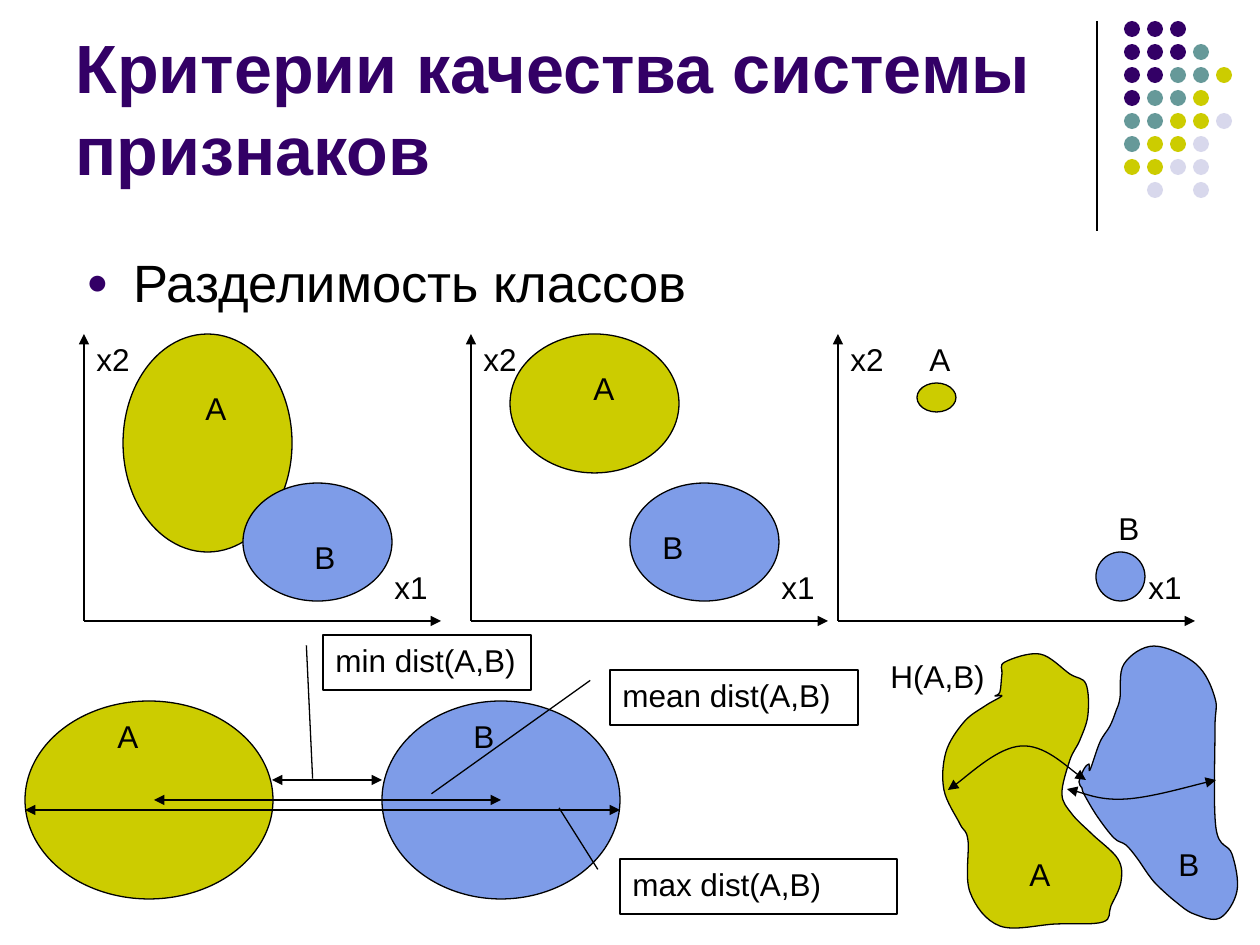
from lxml.etree import SubElement
from pptx import Presentation
from pptx.dml.color import RGBColor
from pptx.enum.shapes import MSO_CONNECTOR, MSO_SHAPE
from pptx.enum.text import MSO_ANCHOR, MSO_AUTO_SIZE, PP_ALIGN
from pptx.oxml.ns import qn
from pptx.util import Pt

SCALE = 914400 / 126
BLACK = RGBColor(0x00, 0x00, 0x00)
WHITE = RGBColor(0xFF, 0xFF, 0xFF)
PLUM = RGBColor(0x33, 0x00, 0x66)
TEAL = RGBColor(0x66, 0x99, 0x99)
OLIVE = RGBColor(0xCC, 0xCC, 0x00)
BLUE = RGBColor(0x7E, 0x9C, 0xE8)
PALE = RGBColor(0xD8, 0xD8, 0xEC)

DOTS = ("DDD", "DDDT", "DDTTY", "DTTY", "TTYYL", "TYYL", "YYLL", " L L")
TINTS = {"D": PLUM, "T": TEAL, "Y": OLIVE, "L": PALE}

PLOTS = (
    (84, (39, 0, 169, 218), (159, 149, 149, 118), (109, 49), (218, 198)),
    (471, (39, 0, 169, 139), (159, 149, 149, 118), (110, 29), (179, 188)),
    (838, (79, 49, 39, 29), (258, 218, 49, 49), (79, 0), (268, 169)),
)
CALLS = (
    ("min dist(A,B)", (298, -66, 208, 55), (0.19, -0.08, 2.61, -0.05)),
    ("max dist(A,B)", (595, 158, 277, 55), (0.19, -0.08, -0.93, -0.22)),
    ("mean dist(A,B)", (585, -31, 248, 55), (0.19, -0.08, 2.25, -0.72)),
)
BLOB_A = (
    (58, 42), (41, 52), (20, 68), (2, 98), (0, 136), (16, 170), (24, 186),
    (26, 238), (56, 272), (112, 270), (159, 268), (167, 252), (177, 228),
    (174, 205), (148, 180), (128, 160), (118, 140), (126, 106), (136, 86),
    (144, 61), (142, 30), (126, 20), (96, 0), (61, 8), (58, 20), (56, 38),
    (51, 42),
)
BLOB_B = (
    (11, 124), (21, 96), (31, 80), (37, 65), (41, 52), (45, 18), (75, 0),
    (117, 18), (136, 52), (136, 84), (137, 182), (153, 208), (158, 245),
    (141, 272), (115, 268), (97, 256), (78, 239), (69, 228), (58, 212),
    (47, 199), (35, 192), (18, 170), (5, 148), (3, 142), (0, 136),
    (5, 123), (10, 118),
)
ARCS = (
    ((338, 134), (248, 153), (189, 143)),
    ((70, 144), (143, 100), (208, 134)),
)


def px(*nums):
    """Turn px lengths into EMU."""
    return [round(num * SCALE) for num in nums]


def shift(box, part):
    """Move a part by the left top corner of a box."""
    return (box[0] + part[0], box[1] + part[1], *part[2:])


def apply(item, vals):
    """Set attributes from a dict."""
    for name, val in vals.items():
        setattr(item, name, val)


def write(frame, text, font=None, **vals):
    """Fill a text frame with one formatted paragraph."""
    apply(frame, {"word_wrap": True, "auto_size": MSO_AUTO_SIZE.NONE,
                  "vertical_anchor": MSO_ANCHOR.TOP, **vals})
    line = frame.paragraphs[0]
    line.text = text
    line.alignment = PP_ALIGN.LEFT
    look = {"name": "Arial", "size": Pt(18), "bold": False, **(font or {})}
    tint = look.pop("color", BLACK)
    apply(line.font, look)
    line.font.color.rgb = tint


def paint(shape, fill, edge=True):
    """Set fill and outline without a shadow."""
    shape.shadow.inherit = False
    if fill is None:
        shape.fill.background()
    else:
        shape.fill.solid()
        shape.fill.fore_color.rgb = fill
    if edge:
        ink(shape)
    else:
        shape.line.fill.background()


def ink(shape, ends=()):
    """Draw a thin black line with arrowheads at the named ends."""
    shape.line.color.rgb = BLACK
    shape.line.width = Pt(0.75)
    edge = shape.element.spPr.find(qn("a:ln"))
    for end in ends:
        SubElement(edge, qn(f"a:{end}End"), type="triangle")


def link(slide, start, stop, ends=()):
    """Add a straight line between two points."""
    line = slide.shapes.add_connector(
        MSO_CONNECTOR.STRAIGHT, *px(*start, *stop))
    ink(line, ends)
    SubElement(line.element.spPr, qn("a:effectLst"))


def oval(slide, box, fill, edge=True):
    """Add an ellipse."""
    paint(slide.shapes.add_shape(MSO_SHAPE.OVAL, *px(*box)), fill, edge)


def outline(slide, dots, closed):
    """Add a freeform through EMU points."""
    form = slide.shapes.build_freeform(*dots[0], scale=1)
    form.add_line_segments(dots[1:], close=closed)
    return form.convert_to_shape()


def label(slide, spot, text, width=49):
    """Add a small text label in a clear outline."""
    left, top = spot
    right, low = left + width, top + 50
    dots = [px(*dot) for dot in (
        (left, top), (right, top), (right, low), (left, low))]
    shape = outline(slide, dots, True)
    paint(shape, None, False)
    write(shape.text_frame, text, auto_size=MSO_AUTO_SIZE.SHAPE_TO_FIT_TEXT)


def curve(slide, box, knots, fill=None, ends=()):
    """Add a filled blob, or an open arc when there is no fill."""
    closed = fill is not None
    dots = [px(*shift(box, knot)) for knot in knots]
    if closed:
        dots.append(dots[0])
    shape = outline(slide, dots, closed)
    before, after = (dots[-2], dots[1]) if closed else (dots[0], dots[-1])
    ring = [before, *dots, after]
    lines = list(shape.element.iter(qn("a:lnTo")))
    for line, a, b, c, d in zip(lines, ring, ring[1:], ring[2:], ring[3:]):
        bend = line.getparent().makeelement(qn("a:cubicBezTo"))
        out = [q + (r - p) / 6 for p, q, r in zip(a, b, c)]
        back = [q - (r - p) / 6 for p, q, r in zip(b, c, d)]
        for x, y in (out, back, c):
            SubElement(bend, qn("a:pt"), x=str(round(x - shape.left)),
                       y=str(round(y - shape.top)))
        line.getparent().replace(line, bend)
    paint(shape, fill)
    ink(shape, ends)


def corner(slide, box):
    """Draw the rule and the dot pattern."""
    left, top, _, high = box
    link(slide, (left, top), (left, top + high))
    for row, marks in enumerate(DOTS):
        for col, mark in enumerate(marks):
            if mark in TINTS:
                spot = (27 + 23 * col, 23 * row, 16, 16)
                oval(slide, shift(box, spot), TINTS[mark], False)


def heading(slide, box):
    """Place the title."""
    title = slide.shapes.title
    apply(title, dict(zip(("left", "top", "width", "height"), px(*box))))
    write(title.text_frame, "Критерии качества системы признаков",
          {"size": Pt(39), "bold": True, "color": PLUM},
          vertical_anchor=MSO_ANCHOR.BOTTOM)


def body(slide, box):
    """Place the bulleted line."""
    frame = slide.shapes.add_textbox(*px(*box)).text_frame
    props = frame.paragraphs[0]._p.get_or_add_pPr()
    dent, = px(47)
    props.set("marL", str(dent))
    props.set("indent", str(-dent))
    tint = SubElement(props, qn("a:buClr"))
    SubElement(tint, qn("a:srgbClr"), val=str(PLUM))
    SubElement(props, qn("a:buSzPct"), val="70000")
    SubElement(props, qn("a:buFont"), typeface="Arial")
    SubElement(props, qn("a:buChar"), char="●")
    write(frame, "Разделимость классов", {"size": Pt(30)})


def plot(slide, box, first, second, tag_a, tag_b):
    """Draw axes with two classes."""
    left, top, wide, high = box
    base = (left, top + high)
    link(slide, base, (left, top), ["tail"])
    link(slide, base, (left + wide, top + high), ["tail"])
    oval(slide, shift(box, first), OLIVE)
    oval(slide, shift(box, second), BLUE)
    for spot, text, width in (((0, 0), "х2", 79), ((298, 228), "х1", 79),
                              (tag_a, "A", 49), (tag_b, "B", 49)):
        label(slide, shift(box, spot), text, width)


def spans(slide, box):
    """Draw the three distances between two classes."""
    oval(slide, shift(box, (0, 0, 248, 198)), OLIVE)
    oval(slide, shift(box, (357, 0, 238, 198)), BLUE)
    for start, stop, y in ((129, 476, 99), (247, 357, 79), (0, 595, 109)):
        link(slide, shift(box, (start, y)), shift(box, (stop, y)),
             ["head", "tail"])
    for x, text in ((80, "A"), (436, "B")):
        label(slide, shift(box, (x, 10)), text)
    for text, part, bends in CALLS:
        note = slide.shapes.add_shape(
            MSO_SHAPE.LINE_CALLOUT_1, *px(*shift(box, part)))
        for num, bend in enumerate(bends):
            note.adjustments[num] = bend
        paint(note, WHITE)
        write(note.text_frame, text)


def blobs(slide, box):
    """Draw the set distance between two uneven classes."""
    curve(slide, shift(box, (66, 8)), BLOB_A, OLIVE)
    curve(slide, shift(box, (201, 0)), BLOB_B, BLUE)
    for arc in ARCS:
        curve(slide, box, arc, ends=["head", "tail"])
    for spot, text, width in (((139, 203), "A", 49), ((288, 193), "B", 49),
                              ((0, 5), "H(A,B)", 139)):
        label(slide, shift(box, spot), text, width)


def main():
    """Build and save the slide."""
    deck = Presentation()
    deck.slide_width, deck.slide_height = px(1260, 945)
    slide = deck.slides.add_slide(deck.slide_layouts[5])
    corner(slide, (1097, 21, 140, 210))
    heading(slide, (63, 16, 1040, 179))
    body(slide, (74, 244, 1134, 607))
    for left, *parts in PLOTS:
        plot(slide, (left, 334, 357, 287), *parts)
    spans(slide, (25, 701, 595, 198))
    blobs(slide, (878, 646, 360, 280))
    deck.save("out.pptx")


if __name__ == "__main__":
    main()
